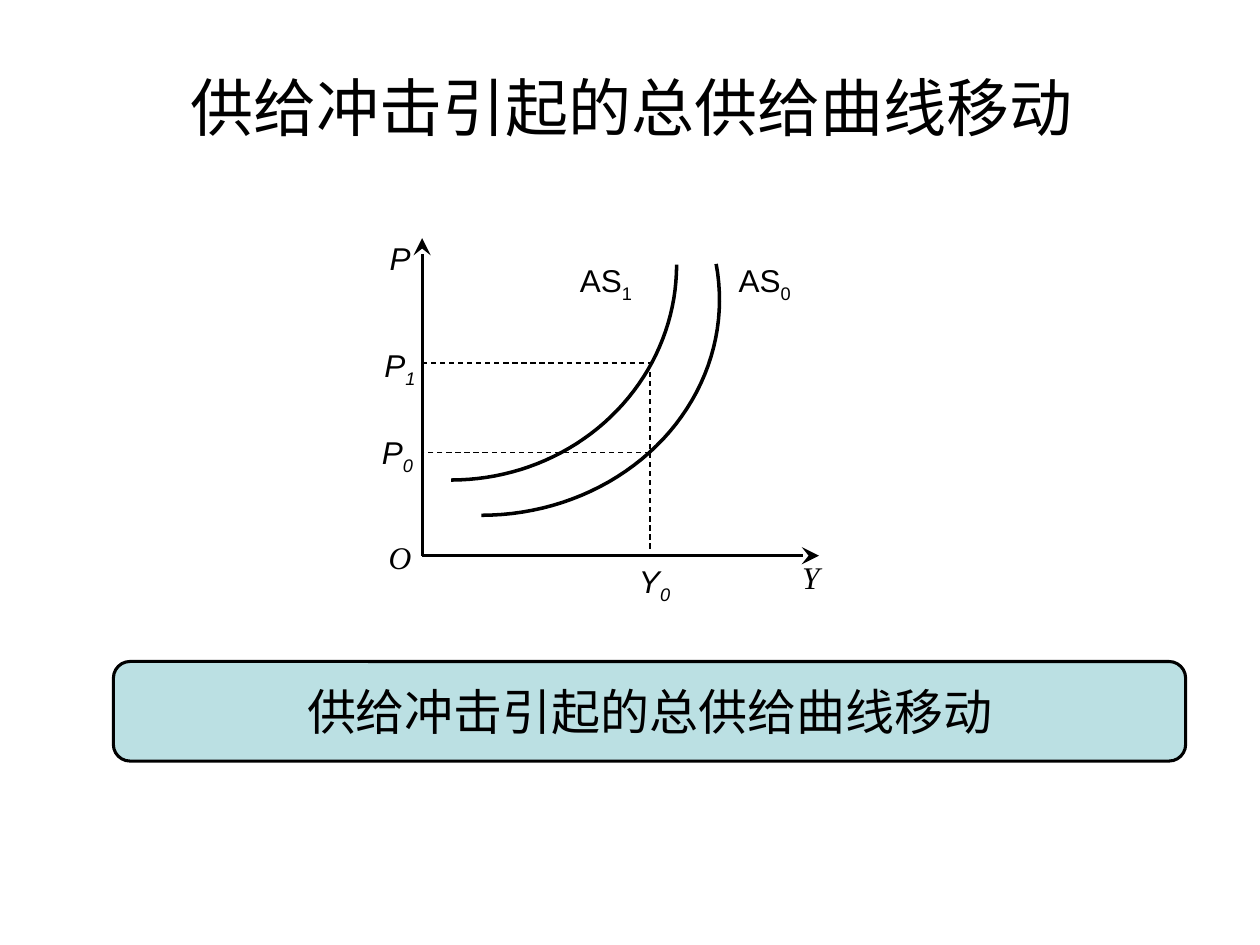
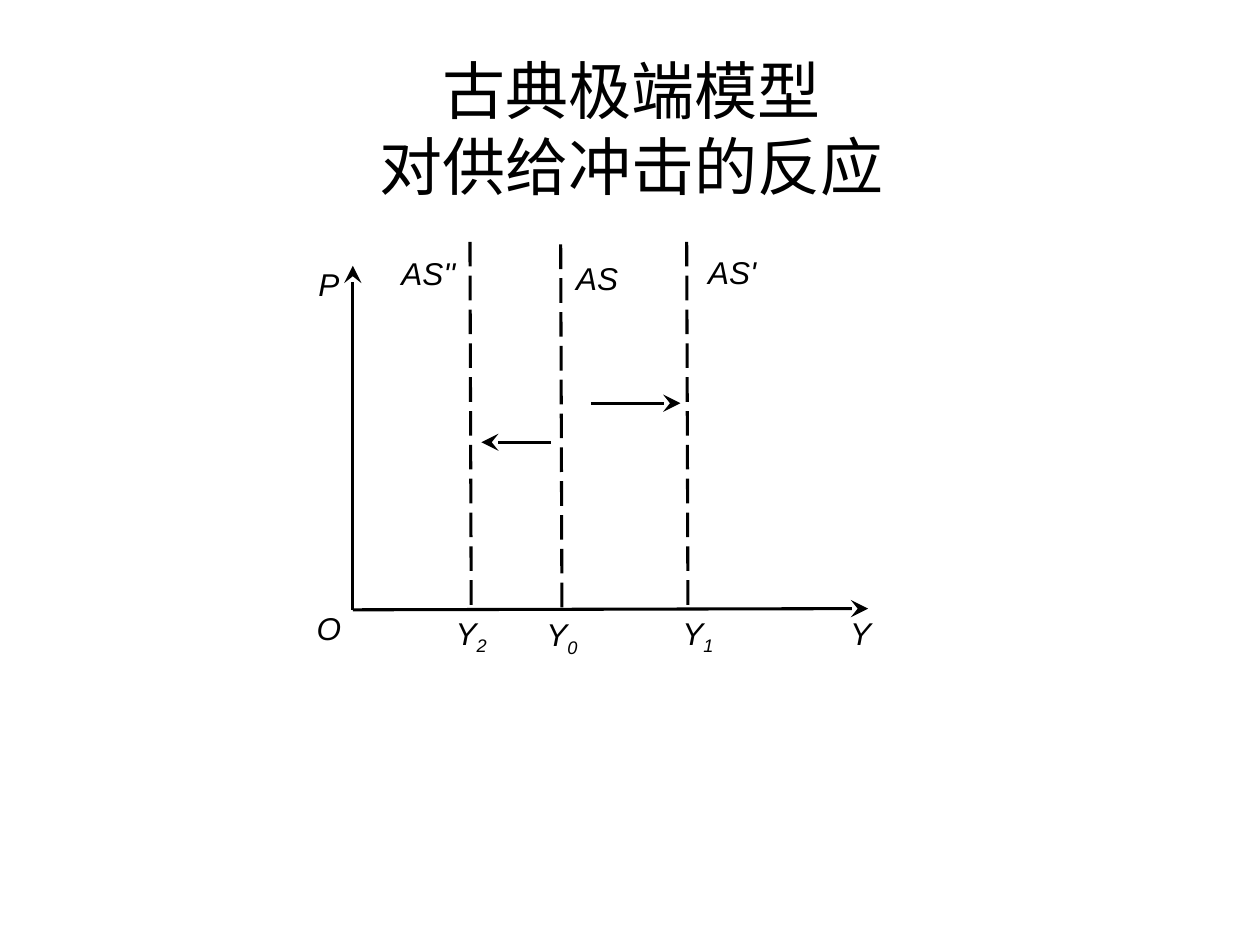
from math import cos, radians, sin

from lxml import etree
from pptx import Presentation
from pptx.dml.color import RGBColor
from pptx.enum.dml import MSO_LINE
from pptx.enum.shapes import MSO_CONNECTOR, MSO_SHAPE
from pptx.enum.text import MSO_ANCHOR, MSO_AUTO_SIZE, PP_ALIGN
from pptx.oxml.ns import qn
from pptx.util import Inches, Pt

STRAIGHT = MSO_CONNECTOR.STRAIGHT
ROUND_RECT = MSO_SHAPE.ROUNDED_RECTANGLE
DASH, LONG_DASH = MSO_LINE.DASH, MSO_LINE.LONG_DASH
MIDDLE, CENTER = MSO_ANCHOR.MIDDLE, PP_ALIGN.CENTER
NO_FIT = MSO_AUTO_SIZE.NONE

BLACK = RGBColor(0x00, 0x00, 0x00)
PALE_TEAL = RGBColor(0xBB, 0xE0, 0xE3)
SANS, SERIF = "Arial", "Times New Roman"
AXIS_PT, CURVE_PT, GUIDE_PT = 1.75, 2, 0.75
SHIFT_TITLE = "供给冲击引起的总供给曲线移动"


def write(tf, text, sub="", size=18, font=SANS, italic=False, wrap=False):
    """Fill a frame with centred lines of text; sub is a trailing subscript."""
    tf.word_wrap, tf.auto_size, tf.vertical_anchor = wrap, NO_FIT, MIDDLE
    for i, line in enumerate(text.split("\n")):
        p = tf.add_paragraph() if i else tf.paragraphs[0]
        p.alignment = CENTER
        p.add_run().text = line
        if sub:
            p.add_run().text = sub
            p.runs[1].font._element.set("baseline", "-25000")
        for r in p.runs:
            r.font.size, r.font.name, r.font.italic = Pt(size), font, italic
            r.font.color.rgb = BLACK


def draw_line(s, start, end, width=AXIS_PT, dash=None, arrow=False):
    c = s.shapes.add_connector(STRAIGHT, *map(Inches, start + end))
    c.line.color.rgb, c.line.width = BLACK, Pt(width)
    if dash:
        c.line.dash_style = dash
    if arrow:
        etree.SubElement(c.line._get_or_add_ln(), qn("a:tailEnd"),
                         type="stealth", w="lg", len="lg")
    etree.SubElement(c._element.spPr, qn("a:effectLst"))


prs = Presentation()
prs.slide_width, prs.slide_height = Inches(10), Inches(7.5)

# Titles: text and top edge
slides = []
for title, top in ((SHIFT_TITLE, 0.37), ("古典极端模型\n对供给冲击的反应", 0.54)):
    s = prs.slides.add_slide(prs.slide_layouts[5])
    t = s.shapes.title
    t.left, t.top, t.width, t.height = map(Inches, (0.51, top, 9, 0.94))
    write(t.text_frame, title, size=36, wrap=True)
    slides.append(s)
shift, classical = slides

# Supply shift: axes and guides
x0, y0 = 3.35, 4.41
output, p1, p0 = 5.16, 2.88, 3.59
draw_line(shift, (x0, y0), (x0, 1.89), arrow=True)
draw_line(shift, (x0, y0), (6.5, y0), arrow=True)
for start, end in (((x0, p1), (output, p1)),
                   ((output, p1), (output, 4.38)),
                   ((output, p0), (x0, p0))):
    draw_line(shift, start, end, GUIDE_PT, DASH)

# Supply curves: elliptical arcs rising from the lowest point
for cx, cy, rx, ry, sweep in ((3.58, 2.1, 1.79, 1.71, 90),
                              (3.82, 2.38, 1.89, 1.71, 99.6)):
    angles = [radians(sweep * i / 40) for i in range(41)]
    points = [(Inches(cx + rx * sin(a)), Inches(cy + ry * cos(a))) for a in angles]
    builder = shift.shapes.build_freeform(*points[0])
    builder.add_line_segments(points[1:], close=False)
    curve = builder.convert_to_shape()
    curve.shadow.inherit = False
    curve.fill.background()
    curve.line.color.rgb, curve.line.width = BLACK, Pt(CURVE_PT)

# Classical case: axes, vertical supply lines and shift arrows
x0, y0 = 2.8, 4.84
draw_line(classical, (x0, y0), (6.89, 4.83), arrow=True)
draw_line(classical, (x0, y0), (x0, 2.11), arrow=True)
for x, top in ((3.73, 1.92), (4.45, 1.94), (5.45, 1.92)):
    draw_line(classical, (x, top), (x + 0.01, top + 2.91), dash=LONG_DASH)
draw_line(classical, (4.69, 3.2), (5.4, 3.2), arrow=True)
draw_line(classical, (4.37, 3.51), (3.82, 3.51), arrow=True)

# Labels by box size: text, subscript, left, top
axis_labels = (("P", "", 2.87, 1.94), ("P", "1", 2.87, 2.81),
               ("P", "0", 2.85, 3.5), ("Y", "0", 4.89, 4.52))
serif_labels = (("O", "", 2.87, 4.31), ("Y", "", 6.13, 4.47))
curve_labels = (("AS", "1", 4.4, 2.1), ("AS", "0", 5.66, 2.1))
classical_labels = (("O", "", 2.4, 4.79), ("Y", "0", 4.25, 4.86),
                    ("P", "", 2.4, 2.06), ("AS'", "", 5.6, 1.97),
                    ("AS''", "", 3.19, 1.98), ("Y", "", 6.62, 4.83),
                    ("Y", "1", 5.33, 4.85))
for s, w, h, font, italic, labels in (
        (shift, 0.61, 0.22, SANS, True, axis_labels),
        (shift, 0.61, 0.22, SERIF, True, serif_labels),
        (shift, 0.82, 0.28, SANS, False, curve_labels),
        (classical, 0.42, 0.38, SANS, True, classical_labels),
        (classical, 0.54, 0.24, SANS, True, (("Y", "2", 3.47, 4.92),)),
        (classical, 0.42, 0.85, SANS, True, (("AS", "", 4.53, 1.78),))):
    for text, sub, left, top in labels:
        box = s.shapes.add_shape(ROUND_RECT, *map(Inches, (left, top, w, h)))
        box.shadow.inherit = False
        box.fill.background()
        box.line.fill.background()
        write(box.text_frame, text, sub, font=font, italic=italic)

# Caption banner
banner = shift.shapes.add_shape(ROUND_RECT, *map(Inches, (0.9, 5.25, 8.51, 0.79)))
banner.shadow.inherit = False
banner.fill.solid()
banner.fill.fore_color.rgb = PALE_TEAL
banner.line.color.rgb, banner.line.width = BLACK, Pt(AXIS_PT)
write(banner.text_frame, SHIFT_TITLE, size=28)

prs.save("out.pptx")
